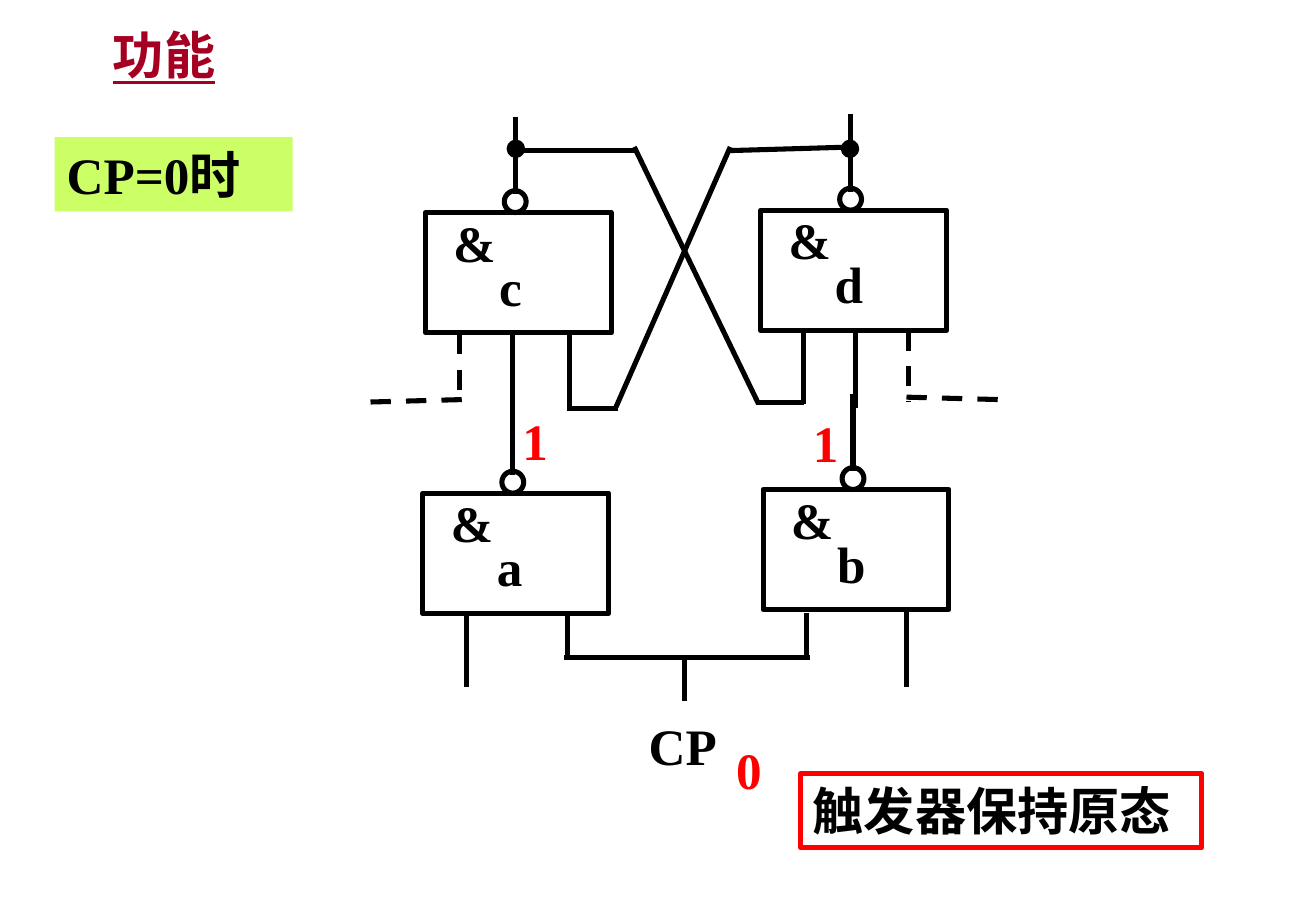
import pptx
import pptx.util
import pptx.dml.color
import pptx.enum.dml
import pptx.enum.shapes
import pptx.enum.text
import pptx.oxml.ns
import lxml.etree

Inches = pptx.util.Inches
Pt = pptx.util.Pt
SHAPE = pptx.enum.shapes.MSO_SHAPE
ANCHOR = pptx.enum.text.MSO_ANCHOR
ALIGN = pptx.enum.text.PP_ALIGN
BLACK, RED, LIME, CRIMSON = "000000", "FF0000", "CCFF66", "A50021"


def rgb(value):
    return pptx.dml.color.RGBColor.from_string(value)


class Diagram:
    """Draws the logic diagram's elements on one slide in a shared style."""

    font = {"name": "Times New Roman", "size": Pt(30.3), "bold": True}
    width = Pt(3)

    def __init__(self, slide):
        self.s = slide

    def set_text(self, sp, text, color=BLACK, align=ALIGN.LEFT, anchor=ANCHOR.TOP, **extra):
        tf = sp.text_frame
        frame = {"word_wrap": True, "vertical_anchor": anchor,
                 "auto_size": pptx.enum.text.MSO_AUTO_SIZE.NONE}
        for name, value in frame.items():
            setattr(tf, name, value)
        p = tf.paragraphs[0]
        p.alignment = align
        r = p.add_run()
        r.text = text
        for name, value in {**self.font, **extra}.items():
            setattr(r.font, name, value)
        r.font.color.rgb = rgb(color)

    def title(self, text, x, y, w, h):
        sp = self.s.shapes.title
        for name, value in zip(("left", "top", "width", "height"), (x, y, w, h)):
            setattr(sp, name, Inches(value))
        self.set_text(sp, text, CRIMSON, ALIGN.CENTER, ANCHOR.MIDDLE, underline=True)

    def label(self, text, x, y, w, color=BLACK):
        sp = self.s.shapes.add_textbox(Inches(x), Inches(y), Inches(w), Inches(0.61))
        self.set_text(sp, text, color)

    def shape(self, kind, x, y, w, h, fill=None, line=BLACK, text=None):
        sp = self.s.shapes.add_shape(kind, Inches(x), Inches(y), Inches(w), Inches(h))
        sp.shadow.inherit = False
        if fill:
            sp.fill.solid()
            sp.fill.fore_color.rgb = rgb(fill)
        else:
            sp.fill.background()
        if line:
            sp.line.color.rgb = rgb(line)
            sp.line.width = self.width
        else:
            sp.line.fill.background()
        if text:
            self.set_text(sp, text)

    def wire(self, x1, y1, x2, y2, dashed=False):
        sp = self.s.shapes.add_connector(
            pptx.enum.shapes.MSO_CONNECTOR.STRAIGHT,
            Inches(x1), Inches(y1), Inches(x2), Inches(y2))
        sp.line.color.rgb = rgb(BLACK)
        sp.line.width = self.width
        if dashed:
            sp.line.dash_style = pptx.enum.dml.MSO_LINE.DASH
        lxml.etree.SubElement(sp._element.spPr, pptx.oxml.ns.qn("a:effectLst"))

    def gate(self, name, x, y):
        self.shape(SHAPE.RECTANGLE, x, y, 1.53, 0.99)
        self.shape(SHAPE.OVAL, x + 0.65, y - 0.18, 0.18, 0.18)
        self.wire(x + 0.74, y - 0.79, x + 0.74, y - 0.15)
        self.label("&", x + 0.13, y - 0.06, 1.08)
        self.label(name, x + 0.51, y + 0.3, 0.77)

    def node(self, x, y):
        self.shape(SHAPE.OVAL, x, y, 0.11, 0.11, fill=BLACK)


GATES = [("c", 3.5, 1.75), ("d", 6.26, 1.73), ("a", 3.48, 4.06), ("b", 6.28, 4.03)]

CROSS_WIRES = [
    (4.23, 1.24, 5.25, 1.24), (5.22, 1.21, 6.24, 3.32),
    (6.22, 3.31, 6.62, 3.31), (6.61, 2.7, 6.61, 3.33),
    (7.03, 1.21, 6.01, 1.24), (6.01, 1.21, 5.07, 3.35),
    (5.09, 3.36, 4.68, 3.36), (4.69, 2.75, 4.69, 3.38),
]
INPUT_WIRES = [
    (4.22, 2.75, 4.22, 3.38), (7.04, 2.72, 7.04, 3.36),
    (3.84, 5.03, 3.84, 5.66), (7.46, 5.03, 7.46, 5.66),
]
CLOCK_WIRES = [
    (4.67, 5.05, 4.67, 5.41), (6.64, 5.05, 6.64, 5.41),
    (4.64, 5.41, 6.67, 5.41), (5.63, 5.41, 5.63, 5.77),
]
DASHED_WIRES = [
    (3.78, 2.75, 3.78, 3.33), (3.8, 3.29, 3.04, 3.31),
    (7.48, 2.72, 7.48, 3.31), (7.46, 3.27, 8.23, 3.29),
]
LABELS = [
    ("CP", 5.24, 5.83, 0.9, BLACK), ("0", 5.96, 6.03, 0.72, RED),
    ("1", 4.2, 3.32, 0.71, RED), ("1", 6.59, 3.34, 0.71, RED),
]


def main():
    prs = pptx.Presentation()
    prs.slide_width, prs.slide_height = Inches(10.83), Inches(7.5)
    d = Diagram(prs.slides.add_slide(prs.slide_layouts[5]))
    d.title("功能", 0.63, 0.14, 1.44, 0.61)
    for gate in GATES:
        d.gate(*gate)
    for wire in CROSS_WIRES + INPUT_WIRES + CLOCK_WIRES:
        d.wire(*wire)
    for wire in DASHED_WIRES:
        d.wire(*wire, dashed=True)
    for x in (4.19, 6.94):
        d.node(x, 1.17)
    for label in LABELS:
        d.label(*label)
    d.shape(SHAPE.RECTANGLE, 0.45, 1.13, 1.96, 0.61, LIME, None, "CP=0时")
    d.shape(SHAPE.RECTANGLE, 6.59, 6.37, 3.3, 0.61, None, RED, "触发器保持原态")
    prs.save("out.pptx")


if __name__ == "__main__":
    main()
